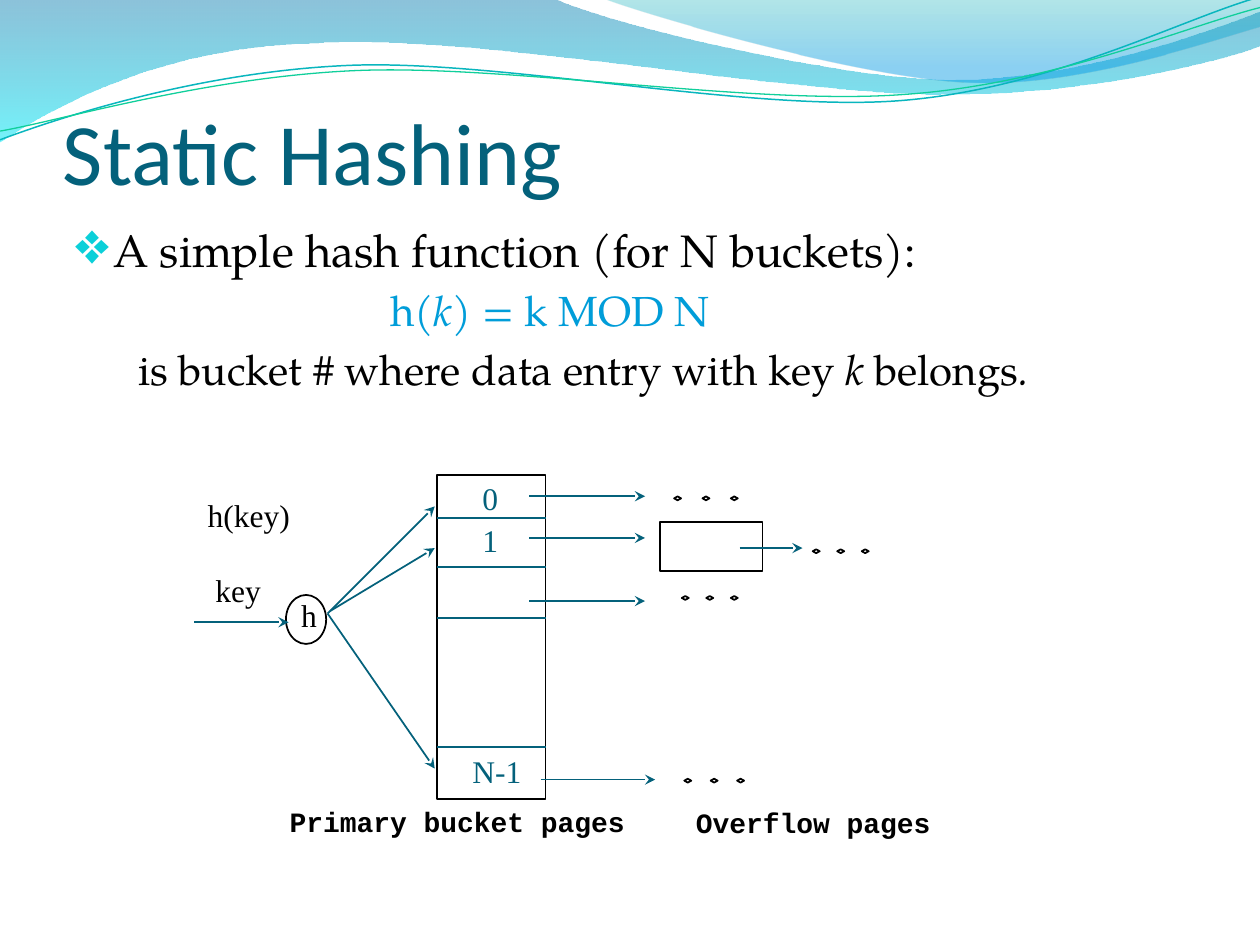
from lxml import etree
from pptx import Presentation
from pptx.dml.color import RGBColor
from pptx.enum.shapes import MSO_CONNECTOR, MSO_SHAPE
from pptx.enum.text import MSO_ANCHOR, MSO_AUTO_SIZE
from pptx.oxml.ns import qn
from pptx.util import Pt

STRAIGHT = MSO_CONNECTOR.STRAIGHT
RECTANGLE, OVAL, DIAMOND = MSO_SHAPE.RECTANGLE, MSO_SHAPE.OVAL, MSO_SHAPE.DIAMOND
BOTTOM = MSO_ANCHOR.BOTTOM
GROW = MSO_AUTO_SIZE.SHAPE_TO_FIT_TEXT
COLORS = {
    "ink": "000000", "teal": "04617B", "blue": "009DD9", "bullet": "0BD0D9",
    "wave_top": "0079AD", "wave_bottom": "00E9F7",
    "crest_top": "00ABB4", "crest_bottom": "0099E4",
    "thread": "09B6BE", "green": "10CF9B",
}
SERIF, MONO, BODY = "Times New Roman", "Courier New", "TeX Gyre Pagella"


def rgb(name):
    return RGBColor.from_string(COLORS[name])


def write(para, text, font=SERIF, size=18, color="ink", bold=False, italic=False):
    span = para.add_run()
    span.text = text
    span.font.name = font
    span.font.size = Pt(size)
    span.font.bold = bold
    span.font.italic = italic
    span.font.color.rgb = rgb(color)


deck = Presentation()
deck.slide_width, deck.slide_height = Pt(720), Pt(540)
page = deck.slides.add_slide(deck.slide_layouts[6])
shapes = page.shapes

# Waves along the top: pairs are straight segments, sixes are Bezier curves
# Gradient stops: position, colour, opacity in percent
waves = [
    ([(0, 0), (316.8, -0.7),
      (342.7, 12.2, 478.1, 45.4, 545.8, 45.4), (614.2, 45.4, 689.8, 18.7, 720, 6.5),
      (720.7, 25.9), (707.8, 31.7, 626.4, 54.7, 537.1, 54),
      (447.8, 54, 275, 20.2, 185, 24.5), (92.9, 25.9, 33.1, 59.8, -0.7, 81.4)],
     [(0, "wave_top", 45), (1, "wave_bottom", 55)], None),
    ([(344.9, -0.7), (366.5, 7.9, 491, 44.6, 553.7, 46.8),
      (616.3, 49.7, 691.9, 23, 720, 15.1), (720, 0)],
     [(0, "crest_top", 30), (0.8, "crest_bottom", 45)], None),
    ([(0, 79.9), (34.6, 67, 113.8, 41, 199.4, 37.4),
      (284.4, 33.8, 427, 64.1, 513.4, 57.6), (599.8, 51.1, 675.4, 10.8, 718.6, -1.4)],
     None, ("thread", 0.85)),
    ([(0, 74.9), (33.8, 69.1, 118.1, 43.9, 203.8, 40.3),
      (290.2, 36.7, 429.8, 60.5, 516.2, 54), (601.9, 48.2, 677.5, 15.1, 720, 4.3)],
     None, ("green", 0.75)),
]
for segments, stops, stroke in waves:
    start, *parts = segments
    builder = shapes.build_freeform(*map(Pt, start))
    builder.add_line_segments([tuple(map(Pt, part[-2:])) for part in parts],
                              close=stops is not None)
    wave = builder.convert_to_shape()
    wave.shadow.inherit = False
    # Bend the segments that have control points
    for segment, part in zip(list(wave._element.iter(qn("a:lnTo"))), parts):
        if len(part) == 6:
            segment.tag = qn("a:cubicBezTo")
            for point in list(segment):
                segment.remove(point)
            for x, y in zip(part[::2], part[1::2]):
                etree.SubElement(segment, qn("a:pt"), x=str(Pt(x) - wave.left),
                                 y=str(Pt(y) - wave.top))
    if stops:
        wave.line.fill.background()
        wave.fill.gradient()
        wave.fill.gradient_angle = 270
        for stop, (position, color, _) in zip(wave.fill.gradient_stops, stops):
            stop.position = position
            stop.color.rgb = rgb(color)
        for tint, (_, _, opacity) in zip(wave._element.iter(qn("a:srgbClr")), stops):
            etree.SubElement(tint, qn("a:alpha"), val=str(opacity * 1000))
    else:
        wave.fill.background()
        wave.line.color.rgb = rgb(stroke[0])
        wave.line.width = Pt(stroke[1])

# Title
box = shapes.add_textbox(Pt(36), Pt(26), Pt(648), Pt(90))
frame = box.text_frame
frame.word_wrap = True
frame.vertical_anchor = BOTTOM
frame.margin_left = frame.margin_right = frame.margin_bottom = 0
write(frame.paragraphs[0], "Static Hashing", font="Calibri", size=50, color="teal")

# Body: left margin, first-line indent, size, colour, spans with italic flag
body = [
    (21.6, -21.6, 26, "ink", [("A simple hash function (for N buckets):", False)]),
    (180, 0, 24, "blue", [("h(", False), ("k", True), (") = k MOD N", False)]),
    (36, 0, 24, "ink", [("is bucket # where data entry with key", False),
                        (" k ", True), ("belongs", False), (".", True)]),
]
box = shapes.add_textbox(Pt(36), Pt(123.2), Pt(648), Pt(391))
frame = box.text_frame
frame.word_wrap = True
for index, (margin, indent, size, color, spans) in enumerate(body):
    para = frame.add_paragraph() if index else frame.paragraphs[0]
    properties = para._p.get_or_add_pPr()
    properties.set("marL", str(Pt(margin)))
    properties.set("indent", str(Pt(indent)))
    if index:
        para.space_before = Pt(4.8)
    else:
        bullet_color = etree.SubElement(properties, qn("a:buClr"))
        etree.SubElement(bullet_color, qn("a:srgbClr"), val=COLORS["bullet"])
        etree.SubElement(properties, qn("a:buSzPct"), val="130000")
        etree.SubElement(properties, qn("a:buChar"), char="❖")
    for text, italic in spans:
        write(para, text, font=BODY, size=size, color=color, italic=italic)

# Outlines: overflow page, hash function, bucket column, then dot triples
BUCKET_LEFT, BUCKET_WIDTH = 249.8, 62
outlines = [
    (RECTANGLE, 377.2, 298.2, 58.6, 28),
    (OVAL, 163.4, 340, 23, 28),
    (RECTANGLE, BUCKET_LEFT, 271.4, BUCKET_WIDTH, 185.2),
]
for left, top, gap in [(385.2, 283.7, 16.2), (389.6, 340.6, 14),
                       (391, 445, 15.1), (464.4, 313.9, 14)]:
    outlines += [(DIAMOND, left + gap * n, top, 4, 2.2) for n in range(3)]
for kind, *bounds in outlines:
    outline = shapes.add_shape(kind, *map(Pt, bounds))
    outline.shadow.inherit = False
    outline.fill.background()
    outline.line.color.rgb = rgb("ink")
    outline.line.width = Pt(1)

# Labels
small = {"font": MONO, "size": 16, "bold": True}
labels = [
    ("h(key)", 111.6, 280, 62, {}),
    ("h", 165, 337, 24, {}),
    ("key", 116, 322.6, 40.6, {}),
    ("Primary bucket pages", 158.4, 456.1, 207, small),
    ("Overflow pages", 390.6, 456.7, 149, small),
    ("0", 268.6, 270, 24, {"color": "teal"}),
    ("1", 268.6, 294.4, 24, {"color": "teal"}),
    ("N-1", 262.8, 426.2, 42.5, {"color": "teal"}),
]
for text, left, top, width, style in labels:
    box = shapes.add_textbox(Pt(left), Pt(top), Pt(width), Pt(28))
    box.text_frame.word_wrap = False
    box.text_frame.auto_size = GROW
    write(box.text_frame.paragraphs[0], text, **style)

# Arrows and bucket dividers: x1, y1, x2, y2, arrowhead
links = [
    (188.6, 349.2, 248.4, 313.2, True),
    (187.2, 350.6, 248.4, 289.4, True),
    (110.9, 355.6, 164.9, 355.6, True),
    (187.2, 350.6, 248.4, 439.2, True),
    (308.9, 445.5, 374.4, 445.5, True),
    (422.6, 313.2, 458.6, 313.2, True),
]
links += [(302.4, y, 368.6, y, True) for y in (283.6, 307.4, 343.5)]
links += [(BUCKET_LEFT, y, BUCKET_LEFT + BUCKET_WIDTH, y, False)
          for y in (296, 324, 353, 427)]
for *ends, has_head in links:
    link = shapes.add_connector(STRAIGHT, *map(Pt, ends))
    link.line.color.rgb = rgb("teal")
    link.line.width = Pt(1)
    if has_head:
        etree.SubElement(link.line._get_or_add_ln(), qn("a:tailEnd"), type="stealth")
    etree.SubElement(link._element.spPr, qn("a:effectLst"))

deck.save("out.pptx")
